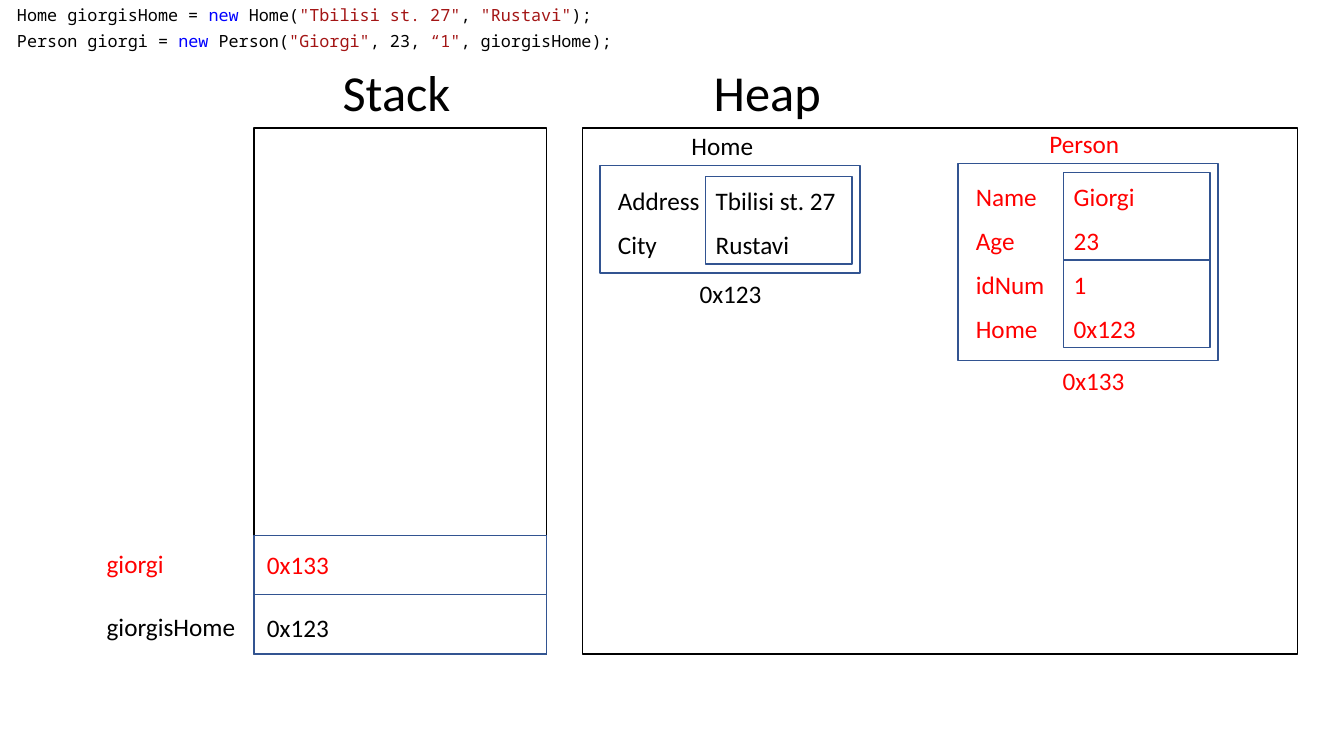
from pptx import Presentation
from pptx.dml.color import RGBColor
from pptx.enum.shapes import MSO_SHAPE
from pptx.enum.text import MSO_AUTO_SIZE
from pptx.util import Inches, Pt

BLACK, RED, BLUE = "000000", "FF0000", "325491"
KEYWORD, STRING = "0000FF", "A31515"
BODY = {"name": "Calibri", "size": Pt(18)}
HEADING = {"name": "Calibri", "size": Pt(36)}
MONO = {"name": "Noto Sans Mono", "size": Pt(12)}

CODE = [
    [("Home giorgisHome = ", BLACK), ("new", KEYWORD), (" Home(", BLACK),
     ('"Tbilisi st. 27"', STRING), (", ", BLACK), ('"Rustavi"', STRING), (");", BLACK)],
    [("Person giorgi = ", BLACK), ("new", KEYWORD), (" Person(", BLACK),
     ('"Giorgi"', STRING), (", 23, ", BLACK), ('“1"', STRING),
     (", giorgisHome);", BLACK)],
]
AREAS = [("Stack", 2.52, 2.9, 3.3), ("Heap", 5.78, 7.09, 6.98)]
STACK = [("giorgisHome", "0x123", BLACK), ("giorgi", "0x133", RED)]
OBJECTS = [
    {"title": "Home", "address": "0x123", "color": BLACK, "address_dx": 0.89,
     "box": (5.95, 1.64, 2.58, 1.07), "pad": 0.11,
     "fields": [("Address", "Tbilisi st. 27"), ("City", "Rustavi")]},
    {"title": "Person", "address": "0x133", "color": RED, "address_dx": 0.94,
     "box": (9.5, 1.62, 2.58, 1.96), "pad": 0.09,
     "fields": [("Name", "Giorgi"), ("Age", "23"), ("idNum", "1"), ("Home", "0x123")]},
]
AREA_TOP, AREA_H = 1.27, 5.22
SLOT_H, SLOT_STEP = 0.59, 0.63
CELL_W, CELL_H = 1.45, 0.87
ROW_H = CELL_H / 2
TEXT_H = 0.4


def rgb(value):
    return RGBColor.from_string(value)


def add_box(shapes, x, y, w, h, line):
    sp = shapes.add_shape(MSO_SHAPE.RECTANGLE, *map(Inches, (x, y, w, h)))
    sp.shadow.inherit = False
    sp.fill.solid()
    sp.fill.fore_color.rgb = rgb("FFFFFF")
    sp.line.color.rgb = rgb(line)
    sp.line.width = Pt(1)


def add_text(shapes, x, y, w, h, runs, font):
    tf = shapes.add_textbox(*map(Inches, (x, y, w, h))).text_frame
    tf.word_wrap = True
    tf.auto_size = MSO_AUTO_SIZE.SHAPE_TO_FIT_TEXT
    p = tf.paragraphs[0]
    for text, color in runs:
        r = p.add_run()
        r.text = text
        for key, value in font.items():
            setattr(r.font, key, value)
        r.font.color.rgb = rgb(color)


def add_object(shapes, obj):
    x, y, w, h = obj["box"]
    group = shapes.add_group_shape().shapes
    color, fields = obj["color"], obj["fields"]
    cell_x, cell_y = x + 1.05, y + obj["pad"]
    add_box(group, x, y, w, h, BLUE)
    for i in range(len(fields) // 2):
        add_box(group, cell_x, cell_y + i * CELL_H, CELL_W, CELL_H, BLUE)
    texts = [(x + 0.81, y - TEXT_H, 1.93, obj["title"]),
             (x + obj["address_dx"], y + h, 0.83, obj["address"])]
    for i, (name, value) in enumerate(fields):
        row_y = cell_y + 0.04 + i * ROW_H
        texts += [(x + 0.08, row_y, 1.23, name), (cell_x, row_y, CELL_W, value)]
    for tx, ty, tw, text in texts:
        add_text(group, tx, ty, tw, TEXT_H, [(text, color)], BODY)


def main():
    prs = Presentation()
    prs.slide_width, prs.slide_height = Inches(13.33), Inches(7.5)
    shapes = prs.slides.add_slide(prs.slide_layouts[6]).shapes
    for i, runs in enumerate(CODE):
        add_text(shapes, 0.07, i * 0.26, 7.67, 0.3, runs, MONO)
    for title, x, w, title_x in AREAS:
        add_box(shapes, x, AREA_TOP, w, AREA_H, BLACK)
        add_text(shapes, title_x, 0.56, 1.33, 0.71, [(title, BLACK)], HEADING)
    stack_x, stack_w = AREAS[0][1:3]
    for i, (name, value, color) in enumerate(STACK):
        slot_y = AREA_TOP + AREA_H - (i + 1) * SLOT_H
        text_y = 6.02 - i * SLOT_STEP
        add_box(shapes, stack_x, slot_y, stack_w, SLOT_H, BLUE)
        add_text(shapes, 0.96, text_y, 1.5, TEXT_H, [(name, color)], BODY)
        add_text(shapes, 2.55, text_y + 0.01, 1.5, TEXT_H, [(value, color)], BODY)
    for obj in OBJECTS:
        add_object(shapes, obj)
    prs.save("out.pptx")


if __name__ == "__main__":
    main()
